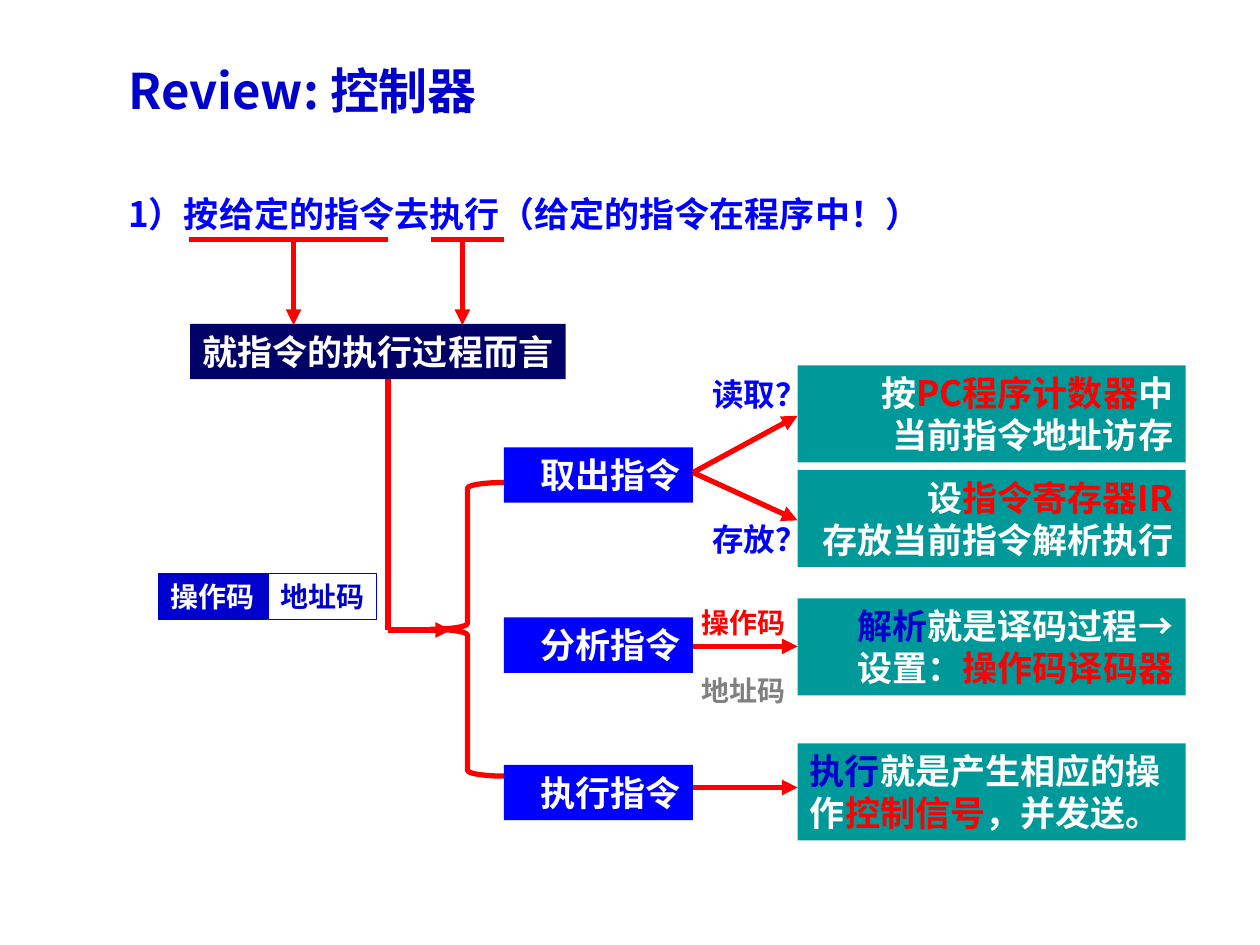
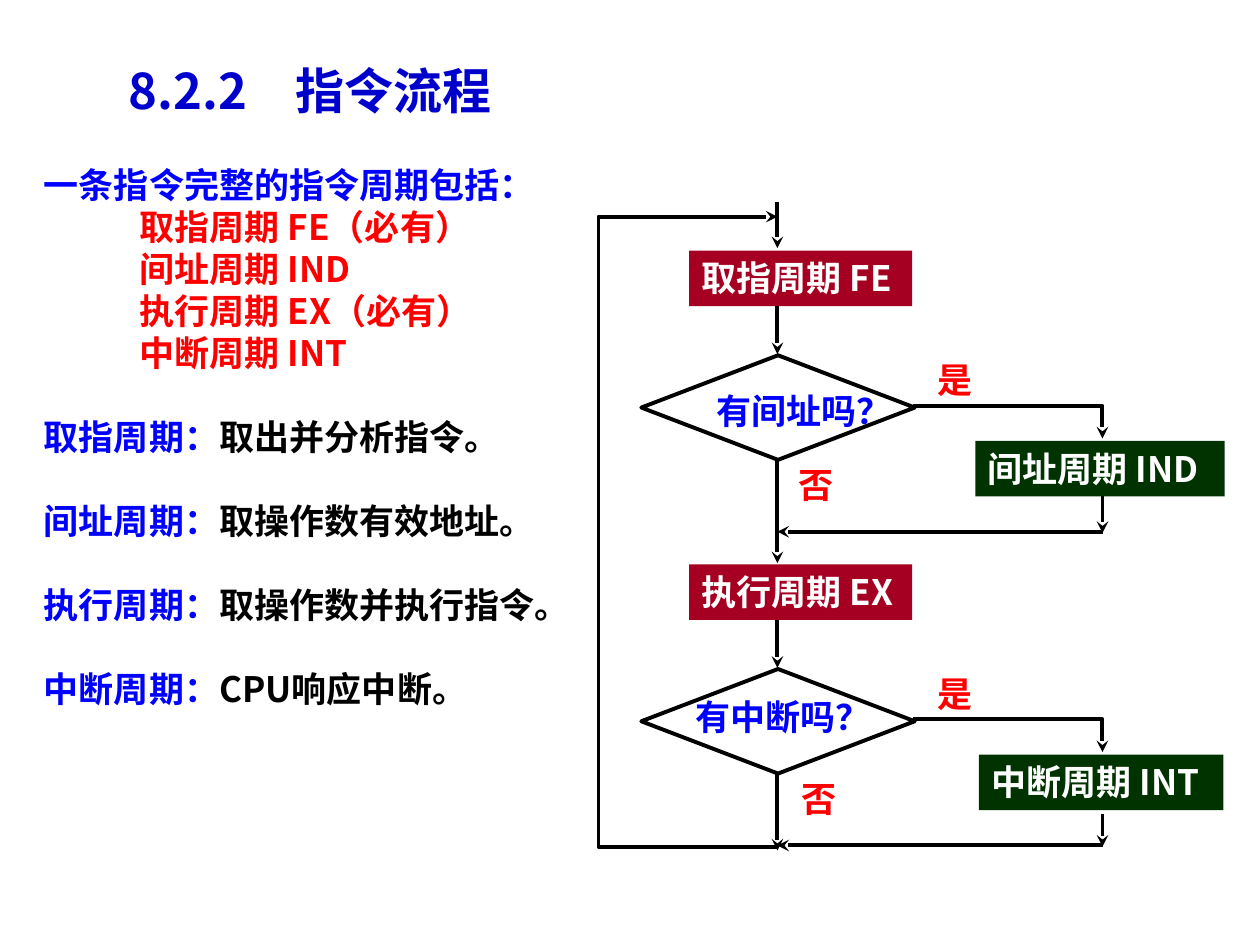
from lxml import etree
from pptx import Presentation
from pptx import util as u
from pptx.dml.color import RGBColor
from pptx.enum import shapes, text
from pptx.oxml.ns import qn

FONT = "Noto Sans CJK SC"
BLUE, NAVY, ROYAL, TEAL = "0000FF", "000066", "0000CC", "009999"
RED, CRIMSON, GREEN = "FF0000", "A50021", "003300"
WHITE, BLACK, GRAY = "FFFFFF", "000000", "808080"
LEFT, RIGHT = text.PP_ALIGN.LEFT, text.PP_ALIGN.RIGHT
LINE_H = 0.44


def rgb(value):
    return RGBColor.from_string(value)


def write(sp, paragraphs, size=20, align=LEFT, wrap=True, gaps=None, indents=None):
    tf = sp.text_frame
    tf.word_wrap = wrap
    tf.auto_size = text.MSO_AUTO_SIZE.NONE
    tf.vertical_anchor = text.MSO_ANCHOR.TOP
    for i, runs in enumerate(paragraphs):
        p = tf.paragraphs[0] if i == 0 else tf.add_paragraph()
        p.alignment = align
        p.line_spacing = u.Pt(size * 1.2)
        p.space_before = u.Pt((gaps or {}).get(i, 0))
        if indents and i in indents:
            p._p.get_or_add_pPr().set("marL", str(u.Inches(indents[i])))
        p.font.name, p.font.size, p.font.bold = FONT, u.Pt(size), True
        p.font.color.rgb = rgb(runs[0][1])
        ea = etree.SubElement(p._p.pPr.find(qn("a:defRPr")), qn("a:ea"))
        ea.set("typeface", FONT)
        for words, color in runs:
            r = p.add_run()
            r.text = words
            if len(runs) > 1:
                r.font.color.rgb = rgb(color)


def add_title(s, words, width):
    sp = s.shapes.title
    sp.left, sp.top, sp.width, sp.height = map(u.Inches, (0.92, 0.43, width, 0.57))
    write(sp, [[(words, ROYAL)]], size=28)


def add_label(s, box, paragraphs, **style):
    sp = s.shapes.add_textbox(*map(u.Inches, box))
    write(sp, paragraphs, **style)


def add_box(s, box, fill=None, paragraphs=None, line=None, line_w=0.75,
            kind=shapes.MSO_SHAPE.RECTANGLE, **style):
    sp = s.shapes.add_shape(kind, *map(u.Inches, box))
    sp.shadow.inherit = False
    if fill:
        sp.fill.solid()
        sp.fill.fore_color.rgb = rgb(fill)
    else:
        sp.fill.background()
    if line:
        sp.line.color.rgb = rgb(line)
        sp.line.width = u.Pt(line_w)
    else:
        sp.line.fill.background()
    if paragraphs:
        write(sp, paragraphs, **style)
    return sp


def add_path(s, points, color, width, head=None):
    pts = [(u.Inches(x), u.Inches(y)) for x, y in points]
    if len(pts) == 2:
        sp = s.shapes.add_connector(shapes.MSO_CONNECTOR.STRAIGHT, *pts[0], *pts[1])
    else:
        builder = s.shapes.build_freeform(*pts[0])
        builder.add_line_segments(pts[1:], close=False)
        sp = builder.convert_to_shape()
        sp.fill.background()
        sp.shadow.inherit = False
    sp.line.color.rgb = rgb(color)
    sp.line.width = u.Pt(width)
    spPr = sp.element.spPr
    if head:
        etree.SubElement(spPr.find(qn("a:ln")), qn("a:tailEnd")).set("type", head)
    if len(pts) == 2:
        etree.SubElement(spPr, qn("a:effectLst"))


def red_line(s, *points, head=None):
    add_path(s, points, RED, 3, head)


def flow(s, *points):
    add_path(s, points, BLACK, 2.25, "stealth")


def add_statement(s, x, y):
    add_label(s, (x, y, 7.83, LINE_H), [[("1）按给定的指令去执行（给定的指令在程序中！）", BLUE)]])
    rule_y = y + 0.42
    for left, right, arrow_x in ((0.58, 2.16, 1.41), (2.5, 3.08, 2.75)):
        red_line(s, (x + left, rule_y), (x + right, rule_y))
        red_line(s, (x + arrow_x, rule_y), (x + arrow_x, rule_y + 0.68), head="triangle")
    add_box(s, (x + 0.59, y + 1.09, 2.98, LINE_H), NAVY,
            [[("就指令的执行过程而言", WHITE)]], wrap=False)


def add_instruction_format(s, x, y):
    for i, (words, fill, color) in enumerate((("操作码", ROYAL, WHITE), ("地址码", None, ROYAL))):
        add_box(s, (x + i * 0.87, y, 0.86, 0.37), fill, [[(words, color)]],
                line=ROYAL, size=16, align=RIGHT, wrap=False)


def add_branch(s, x, y):
    red_line(s, (x, y + 2.1), (x, y))
    red_line(s, (x, y + 2.1), (x + 0.5, y + 2.1), head="triangle")
    brace = add_box(s, (x + 0.34, y + 0.93, 0.58, 2.33), line=RED, line_w=3,
                    kind=shapes.MSO_SHAPE.LEFT_BRACE)
    brace.adjustments[0] = 0.08


def add_steps(s, x, y):
    right = x + 1.5
    detail_x = x + 2.33
    for words, top in (("取出指令", 0.65), ("分析指令", 2), ("执行指令", 3.17)):
        add_box(s, (x, y + top, 1.5, LINE_H), BLUE, [[(words, WHITE)]], align=RIGHT)
    for start, end in ((0.85, 0.4), (0.85, 1.23), (2.23, 2.23), (3.35, 3.35)):
        red_line(s, (right, y + start), (detail_x, y + end), head="triangle")
    details = (
        (0, RIGHT, [[("按", WHITE), ("PC程序计数器", RED), ("中", WHITE)],
                    [("当前指令地址访存", WHITE)]]),
        (0.83, RIGHT, [[("设", WHITE), ("指令寄存器IR", RED)],
                       [("存放当前指令解析执行", WHITE)]]),
        (1.85, RIGHT, [[("解析", ROYAL), ("就是译码过程→", WHITE)],
                       [("设置：", WHITE), ("操作码译码器", RED)]]),
        (3, LEFT, [[("执行", ROYAL), ("就是产生相应的操作", WHITE),
                    ("控制信号", RED), ("，并发送。", WHITE)]]),
    )
    for top, align, paragraphs in details:
        add_box(s, (detail_x, y + top, 3.08, 0.77), TEAL, paragraphs, align=align)
    for words, top in (("读取？", 0.03), ("存放？", 1.18)):
        add_label(s, (x + 1.51, y + top, 0.99, 0.4), [[(words, BLUE)]], size=18, align=RIGHT)
    add_label(s, (x + 1.47, y + 1.86, 0.86, 0.9), [[("操作码", RED)], [("地址码", GRAY)]],
              size=16, align=RIGHT, wrap=False, gaps={1: 19.2})


def add_cycle_text(s, x, y):
    cycles = ("取指周期 FE（必有）", "间址周期 IND", "执行周期 EX（必有）", "中断周期 INT")
    meanings = (("取指周期：", "取出并分析指令。"), ("间址周期：", "取操作数有效地址。"),
                ("执行周期：", "取操作数并执行指令。"), ("中断周期：", "CPU响应中断。"))
    paragraphs = [[("一条指令完整的指令周期包括：", BLUE)]]
    paragraphs += [[(cycle, RED)] for cycle in cycles]
    paragraphs += [[(name, BLUE), (meaning, BLACK)] for name, meaning in meanings]
    add_label(s, (x, y, 4.42, 4.44), paragraphs,
              gaps={i: 24 for i in range(5, 9)}, indents={i: 0.76 for i in range(1, 5)})


def add_stage(s, x, y, process, question, question_at, side, side_box, no_x, no_end, side_out):
    mid, side_x = x + 0.7, x + 3.28
    add_box(s, (x, y, 1.77, LINE_H), CRIMSON, [[(process, WHITE)]], wrap=False)
    flow(s, (mid, y + LINE_H), (mid, y + 0.82))
    add_box(s, (x - 0.38, y + 0.83, 2.17, 0.83), line=BLACK, line_w=2.25,
            kind=shapes.MSO_SHAPE.DIAMOND)
    dx, dy = question_at
    add_label(s, (x + dx, y + dy, 1.59, LINE_H), [[(question, BLUE)]], wrap=False)
    flow(s, (x + 1.78, y + 1.23), (side_x, y + 1.23), (side_x, y + 1.49))
    dx, width = side_box
    add_box(s, (x + dx, y + 1.51, width, LINE_H), GREEN, [[(side, WHITE)]], wrap=False)
    flow(s, (side_x, y + side_out), (side_x, y + 2.24))
    flow(s, (side_x, y + 2.23), (mid, y + 2.23))
    flow(s, (mid, y + 1.66), (mid, y + no_end))
    for words, dx, dy in (("是", 1.87, 0.81), ("否", no_x, 1.64)):
        add_label(s, (x + dx, y + dy, 0.48, LINE_H), [[(words, RED)]], wrap=False)


def add_flowchart(s, x, y):
    mid = x + 0.7
    flow(s, (mid, y - 0.39), (mid, y - 0.02))
    add_stage(s, x, y, "取指周期 FE", "有间址吗？", (0.12, 1.05),
              "间址周期 IND", (2.27, 1.98), 0.77, 2.48, 1.95)
    add_stage(s, x, y + 2.49, "执行周期 EX", "有中断吗？", (-0.05, 0.99),
              "中断周期 INT", (2.3, 1.94), 0.79, 2.27, 1.98)
    flow(s, (mid, y + 4.73), (x - 0.72, y + 4.73), (x - 0.72, y - 0.27), (mid, y - 0.27))


def controller_slide(s):
    add_title(s, "Review: 控制器", 7.08)
    add_branch(s, 3.08, 2.9)
    add_statement(s, 0.92, 1.48)
    add_instruction_format(s, 1.26, 4.55)
    add_steps(s, 4, 2.9)


def instruction_flow_slide(s):
    add_title(s, "8.2.2　指令流程", 7.5)
    add_flowchart(s, 5.47, 1.99)
    add_cycle_text(s, 0.25, 1.25)


def main():
    prs = Presentation()
    prs.slide_width, prs.slide_height = u.Inches(10), u.Inches(7.5)
    for build in (controller_slide, instruction_flow_slide):
        build(prs.slides.add_slide(prs.slide_layouts[5]))
    prs.save("out.pptx")


if __name__ == "__main__":
    main()
